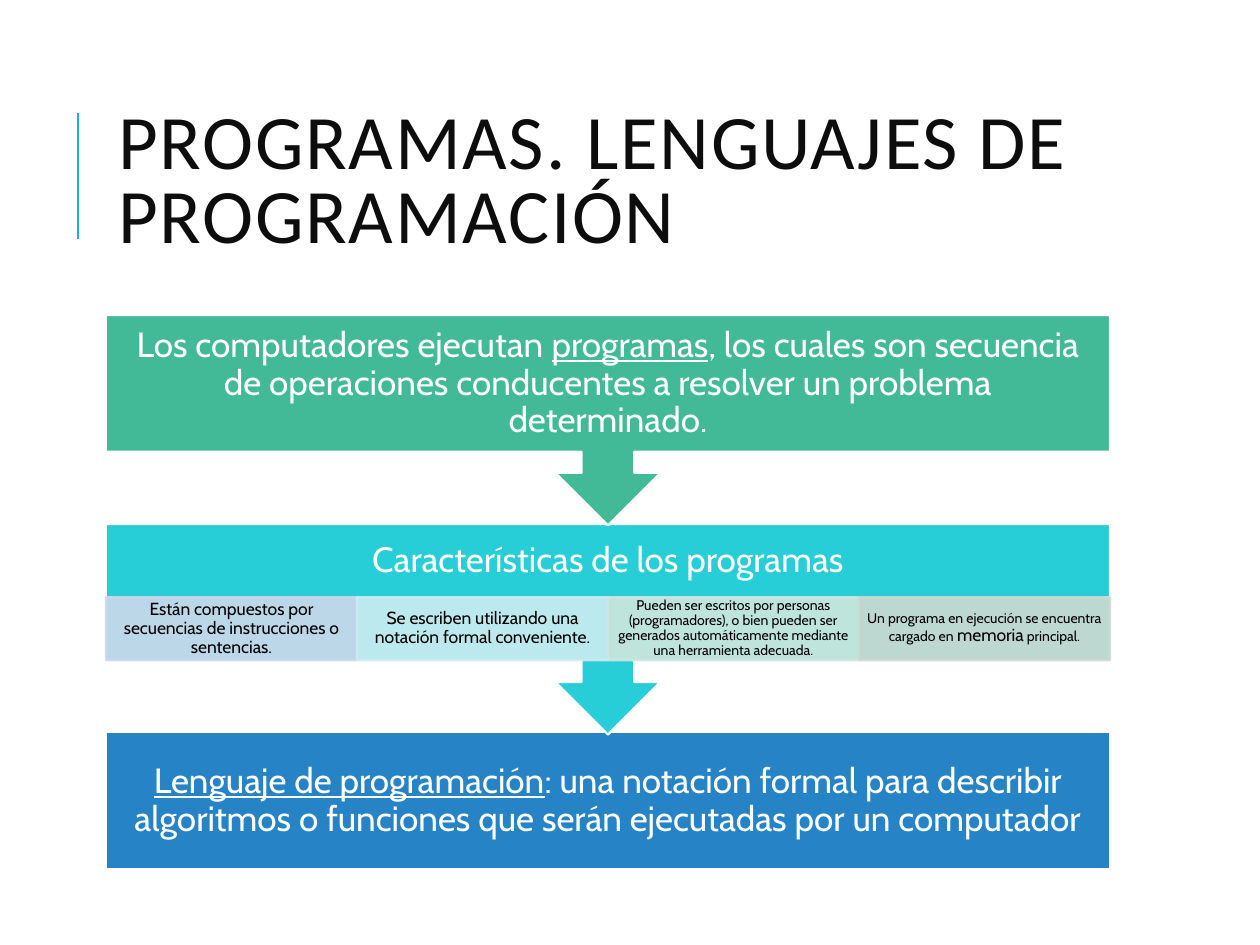
from collections import namedtuple

from lxml.etree import SubElement
from pptx import Presentation
from pptx.dml.color import RGBColor
from pptx.enum.shapes import MSO_CONNECTOR, MSO_SHAPE
from pptx.enum.text import MSO_ANCHOR, PP_ALIGN
from pptx.oxml.ns import qn
from pptx.util import Inches, Pt

WHITE = RGBColor(0xFF, 0xFF, 0xFF)
BLACK = RGBColor(0x00, 0x00, 0x00)
INK = RGBColor(0x0D, 0x0D, 0x0D)
SKY = RGBColor(0x1C, 0xAD, 0xE4)
GREEN = RGBColor(0x42, 0xBA, 0x97)
TURQUOISE = RGBColor(0x27, 0xCE, 0xD7)
BLUE = RGBColor(0x26, 0x83, 0xC6)
PALE_BLUE = RGBColor(0xCD, 0xD9, 0xEA)
PALE_TURQUOISE = RGBColor(0xCD, 0xED, 0xF0)
PALE_GREEN = RGBColor(0xCF, 0xE7, 0xDD)
PALE_SAGE = RGBColor(0xCE, 0xDA, 0xD1)

UNIT = Inches(0.1)
SLIDE_COLUMNS, SLIDE_ROWS = 100, 75
STEP_ROWS, STEP_PITCH = 16.7, 16.6
BODY_ROWS, HEADING_ROWS, TRAIT_ROWS = 10.9, 5.9, 5

Box = namedtuple("Box", "left top width height")
TITLE = Box(8.4, 6.4, 79.7, 16.4)
FLOW = Box(8.4, 25, 79.7, 44)

PROGRAMS = [("Los computadores ejecutan ", {}),
            ("programas", {"underline": True}),
            (", los cuales son secuencia de operaciones conducentes a resolver "
             "un problema determinado.", {})]
LANGUAGE = [("Lenguaje de programación", {"underline": True}),
            (": una notación formal para describir algoritmos o funciones que "
             "serán ejecutadas por un computador", {})]
TRAITS = [
    (PALE_BLUE, 10, 0.8, [("Están compuestos por secuencias de instrucciones o "
                           "sentencias.", {})]),
    (PALE_TURQUOISE, 10, 0.8, [("Se escriben utilizando una notación formal "
                                "conveniente.", {})]),
    (PALE_GREEN, 8, 0.6, [("Pueden ser escritos por personas (programadores), o bien "
                           "pueden ser generados automáticamente mediante una "
                           "herramienta adecuada.", {})]),
    (PALE_SAGE, 8, 0.6, [("Un programa en ejecución se encuentra cargado en ", {}),
                         ("memoria", {"size": Pt(10)}),
                         (" principal.", {})]),
]


def apply(target, values):
    for name, value in values.items():
        setattr(target, name, value)


def emu(box):
    return [round(length * UNIT) for length in box]


def write(frame, runs, size, color, side, edge, font="Cabin",
          align=PP_ALIGN.CENTER, spacing=0.9):
    apply(frame, {"word_wrap": True, "vertical_anchor": MSO_ANCHOR.MIDDLE,
                  "margin_left": round(side * UNIT), "margin_right": round(side * UNIT),
                  "margin_top": round(edge * UNIT), "margin_bottom": round(edge * UNIT)})
    paragraph = frame.paragraphs[0]
    apply(paragraph, {"alignment": align, "line_spacing": spacing})
    for text, changes in runs:
        run = paragraph.add_run()
        run.text = text
        apply(run.font, {"name": font, "size": Pt(size), **changes})
        run.font.color.rgb = color
    return paragraph


def add_block(slide, kind, box, fill, line):
    block = slide.shapes.add_shape(kind, *emu(box))
    block.shadow.inherit = False
    block.fill.solid()
    block.fill.fore_color.rgb = fill
    block.line.color.rgb = line
    block.line.width = Pt(1.25)
    return block


def add_title(slide, box):
    accent = slide.shapes.add_connector(
        MSO_CONNECTOR.STRAIGHT, *emu((box.left - 2.2, 19, box.left - 2.2, 9)))
    accent.line.color.rgb = SKY
    accent.line.width = Pt(1.5)
    SubElement(accent._element.spPr, qn("a:effectLst"))
    heading = slide.shapes.add_textbox(*emu(box))
    paragraph = write(heading.text_frame,
                      [("PROGRAMAS. LENGUAJES DE PROGRAMACIÓN", {})],
                      44, INK, 1, 0.5, "Calibri", PP_ALIGN.LEFT, 0.8)
    paragraph.runs[0].font._element.set("spc", "100")


def add_step(slide, box, fill, runs, text_rows):
    callout = add_block(slide, MSO_SHAPE.UP_ARROW_CALLOUT, box, fill, WHITE)
    callout.rotation = 180
    caption = slide.shapes.add_textbox(*emu(box._replace(height=text_rows)))
    write(caption.text_frame, runs, 20, WHITE, 1.6, 1.6)


def add_traits(slide, box):
    width = box.width / len(TRAITS)
    for column, (fill, size, side, runs) in enumerate(TRAITS):
        cell = Box(box.left + column * width, box.top, width, box.height)
        trait = add_block(slide, MSO_SHAPE.RECTANGLE, cell, fill, fill)
        for color in list(trait._element.spPr.iter(qn("a:srgbClr"))):
            SubElement(color, qn("a:alpha"), val="90000")
        write(trait.text_frame, runs, size, BLACK, side, 0.1)


def add_flow(slide, box):
    first = box._replace(height=STEP_ROWS)
    second = first._replace(top=box.top + STEP_PITCH)
    last = box._replace(top=box.top + box.height - BODY_ROWS, height=BODY_ROWS)
    conclusion = add_block(slide, MSO_SHAPE.RECTANGLE, last, BLUE, WHITE)
    write(conclusion.text_frame, LANGUAGE, 20, WHITE, 1.6, 1.6)
    add_step(slide, second, TURQUOISE, [("Características de los programas", {})],
             HEADING_ROWS)
    add_traits(slide, second._replace(top=second.top + HEADING_ROWS - 0.1,
                                      height=TRAIT_ROWS))
    add_step(slide, first, GREEN, PROGRAMS, BODY_ROWS)


def main():
    deck = Presentation()
    apply(deck, {"slide_width": SLIDE_COLUMNS * UNIT,
                 "slide_height": SLIDE_ROWS * UNIT})
    slide = deck.slides.add_slide(deck.slide_layouts[6])
    add_title(slide, TITLE)
    add_flow(slide, FLOW)
    deck.save("out.pptx")


if __name__ == "__main__":
    main()
